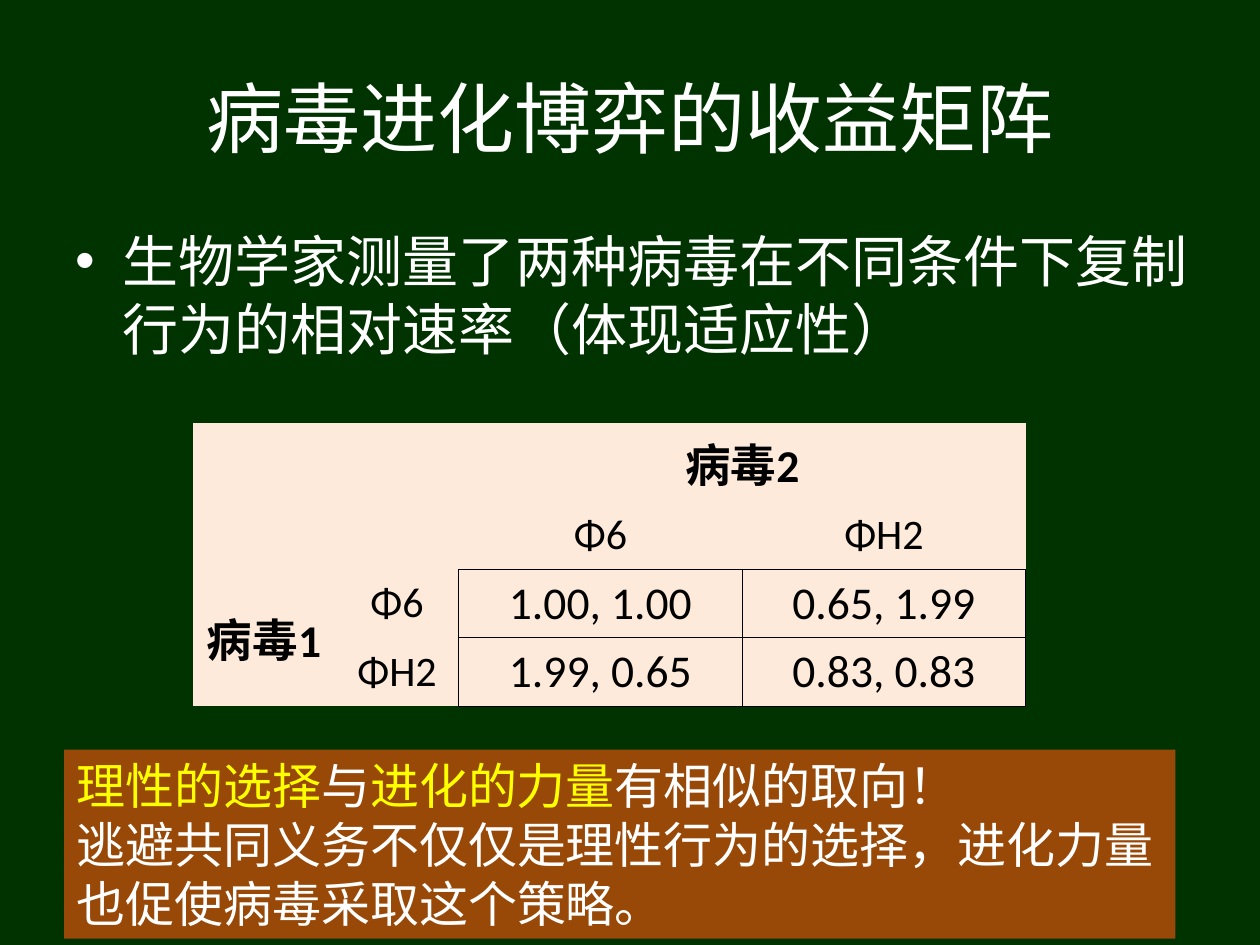
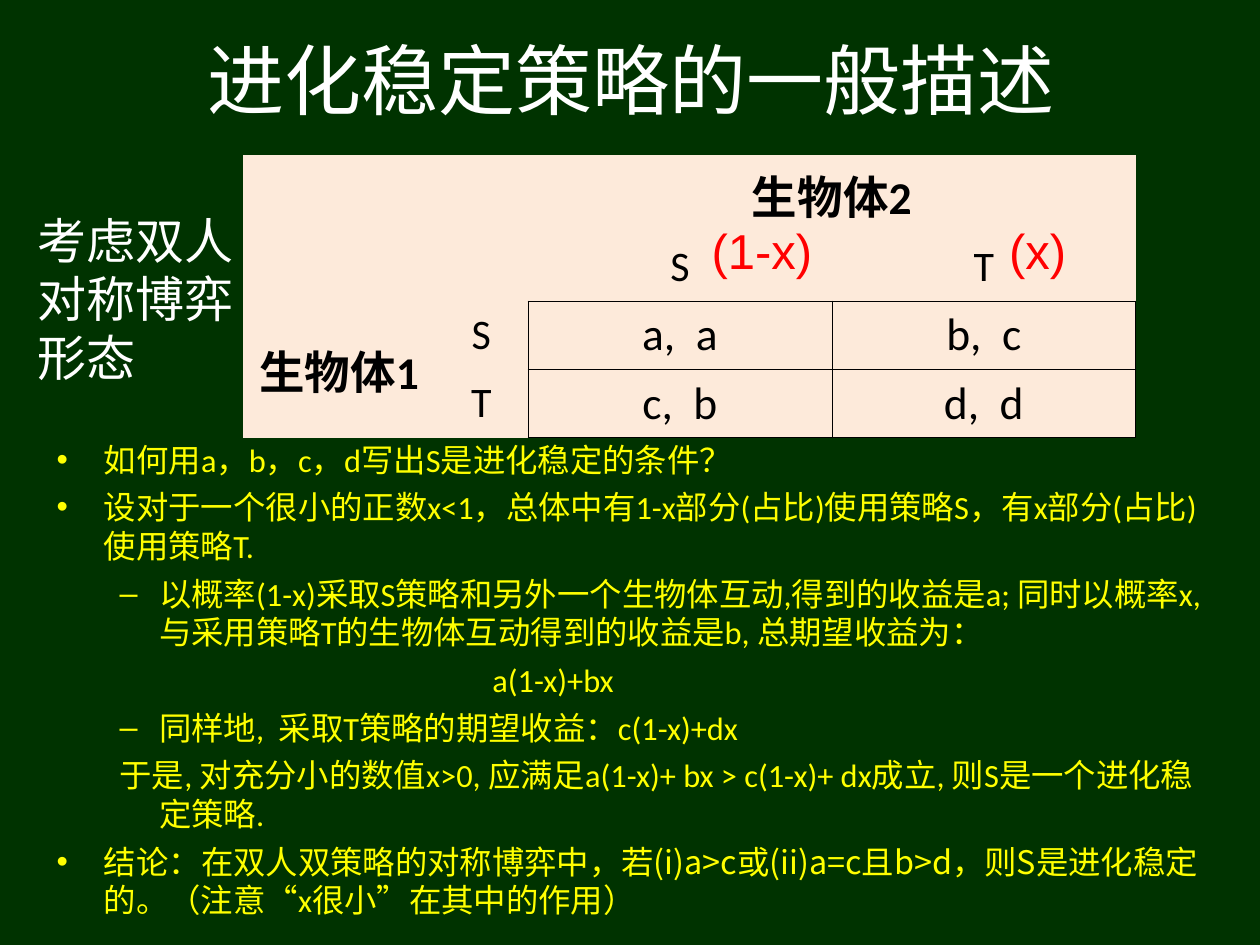
from lxml.etree import SubElement
from pptx import Presentation
from pptx.dml.color import RGBColor
from pptx.enum.shapes import MSO_SHAPE
from pptx.enum.text import MSO_ANCHOR, MSO_AUTO_SIZE, PP_ALIGN
from pptx.oxml.ns import qn
from pptx.util import Pt

GREEN, BROWN, CREAM = "003300", "984807", "FDEADA"
WHITE, BLACK, YELLOW, RED = "FFFFFF", "000000", "FFFF00", "FF0000"
HAN, LATIN = "Noto Sans CJK SC", "Calibri"
ROW_HEIGHT = 38.5
LINE_FACTOR = 1.2
NO_STYLE = "{2D5ABB26-0587-4C30-8999-92F81FD0307C}"
INDENTS = {0: (27, -27), 1: (58.5, -22.5)}


def color(value):
    return RGBColor.from_string(value)


def place(shape, left, top, width, height):
    shape.left, shape.top = Pt(left), Pt(top)
    shape.width, shape.height = Pt(width), Pt(height)


def style_run(run, size, ink, face=HAN, bold=False):
    font = run.font
    font.size, font.bold, font.name = Pt(size), bold, face
    font.color.rgb = color(ink)
    east_asian = SubElement(run._r.rPr, qn("a:ea"))
    east_asian.set("typeface", HAN)


def style_paragraph(paragraph, size, ink, face=HAN, bold=False):
    for run in paragraph.runs:
        style_run(run, size, ink, face, bold)


def add_title(slide, text, left, top):
    title = slide.shapes.title
    place(title, left, top, 648, 90)
    title.text_frame.text = text
    title.text_frame.vertical_anchor = MSO_ANCHOR.MIDDLE
    paragraph = title.text_frame.paragraphs[0]
    paragraph.alignment = PP_ALIGN.CENTER
    style_paragraph(paragraph, 44, WHITE)


def set_bullet(paragraph, mark, ink, indents):
    properties = paragraph._p.get_or_add_pPr()
    margin, hanging = indents
    properties.set("marL", str(Pt(margin)))
    properties.set("indent", str(Pt(hanging)))
    if not mark:
        SubElement(properties, qn("a:buNone"))
        return
    bullet_color = SubElement(properties, qn("a:buClr"))
    SubElement(bullet_color, qn("a:srgbClr")).set("val", ink)
    SubElement(properties, qn("a:buFont")).set("typeface", "Arial")
    SubElement(properties, qn("a:buChar")).set("char", mark)


def add_list(slide, items, box, size, ink, face, gap):
    body = slide.placeholders[1]
    place(body, *box)
    frame = body.text_frame
    frame.text = "\n".join(text for text, *_ in items)
    frame.auto_size = MSO_AUTO_SIZE.NONE
    for number, (paragraph, item) in enumerate(zip(frame.paragraphs, items)):
        _, level, mark, *own_indents = item
        set_bullet(paragraph, mark, ink, own_indents[0] if own_indents else INDENTS[level])
        paragraph.level = level
        paragraph.alignment = PP_ALIGN.LEFT
        paragraph.space_before = Pt(gap if number else 0)
        paragraph.line_spacing = Pt(round(size * LINE_FACTOR, 1))
        style_paragraph(paragraph, size, ink, face)
    return frame


def add_note(slide, text, box, ink, face=HAN):
    note = slide.shapes.add_textbox(*map(Pt, box))
    note.text_frame.word_wrap = True
    note.text_frame.text = text
    paragraph = note.text_frame.paragraphs[0]
    if face == HAN:
        paragraph.line_spacing = Pt(28 * LINE_FACTOR)
    style_paragraph(paragraph, 28, ink, face)


def add_conclusion(slide, lines, box):
    banner = slide.shapes.add_shape(MSO_SHAPE.RECTANGLE, *map(Pt, box))
    banner.shadow.inherit = False
    banner.fill.solid()
    banner.fill.fore_color.rgb = color(BROWN)
    banner.line.fill.background()
    frame = banner.text_frame
    frame.word_wrap = True
    frame.vertical_anchor = MSO_ANCHOR.TOP
    frame.text = "\n".join("" for _ in lines)
    for paragraph, pieces in zip(frame.paragraphs, lines):
        paragraph.alignment = PP_ALIGN.LEFT
        paragraph.line_spacing = Pt(28 * LINE_FACTOR)
        for text, ink in pieces:
            run = paragraph.add_run()
            run.text = text
            style_run(run, 28, ink)


def add_borders(cell, sides):
    properties = cell._tc.get_or_add_tcPr()
    for side in sides:
        edge = SubElement(properties, qn(f"a:ln{side}"))
        edge.set("w", str(Pt(0.45)))
        fill = SubElement(edge, qn("a:solidFill"))
        SubElement(fill, qn("a:srgbClr")).set("val", BLACK)


def cell_sides(row, column):
    if row >= 2 and column >= 2:
        return "LRTB"
    if row == 1 and column >= 2:
        return "B"
    if row >= 2 and column == 1:
        return "R"
    return ""


def add_payoff_matrix(slide, player, strategies, payoffs, left, top, widths):
    frame = slide.shapes.add_table(
        4, 4, Pt(left), Pt(top), Pt(sum(widths)), Pt(4 * ROW_HEIGHT))
    matrix = frame.table
    matrix.first_row = matrix.horz_banding = False
    matrix._tbl.tblPr.find(qn("a:tableStyleId")).text = NO_STYLE
    for column, width in zip(matrix.columns, widths):
        column.width = Pt(width)
    for row in matrix.rows:
        row.height = Pt(ROW_HEIGHT)
    matrix.cell(0, 2).merge(matrix.cell(0, 3))
    matrix.cell(2, 0).merge(matrix.cell(3, 0))
    first, second = strategies
    grid = [
        ["", "", f"{player}2", ""],
        ["", "", first, second],
        [f"{player}1", first, *payoffs[0]],
        ["", second, *payoffs[1]],
    ]
    for row, texts in enumerate(grid):
        for column, text in enumerate(texts):
            cell = matrix.cell(row, column)
            add_borders(cell, cell_sides(row, column))
            cell.fill.solid()
            cell.fill.fore_color.rgb = color(CREAM)
            if not text:
                continue
            cell.vertical_anchor = MSO_ANCHOR.MIDDLE
            cell.text_frame.text = text
            paragraph = cell.text_frame.paragraphs[0]
            paragraph.alignment = PP_ALIGN.CENTER
            size = 24 if text in strategies else 26
            style_paragraph(paragraph, size, BLACK, LATIN, text.startswith(player))


def build_virus_slide(slide):
    add_title(slide, "病毒进化博弈的收益矩阵", 36, 21.6)
    finding = "生物学家测量了两种病毒在不同条件下复制行为的相对速率（体现适应性）"
    add_list(slide, [(finding, 0, "•")], (36, 126, 664.5, 297.5), 32, WHITE, HAN, 8)
    add_payoff_matrix(
        slide, "病毒", ("Φ6", "ΦH2"),
        [("1.00, 1.00", "0.65, 1.99"), ("1.99, 0.65", "0.83, 0.83")],
        110.2, 241.9, (81.4, 70.6, 162, 162))
    add_conclusion(slide, [
        [("理性的选择", YELLOW), ("与", WHITE), ("进化的力量", YELLOW),
         ("有相似的取向！", WHITE)],
        [("逃避共同义务不仅仅是理性行为的选择，进化力量也促使病毒采取这个策略。", WHITE)],
    ], (36.7, 428.4, 635, 108))


def build_stable_strategy_slide(slide):
    add_title(slide, "进化稳定策略的一般描述", 36.7, 0)
    frame = add_list(slide, [
        ("如何用a，b，c，d写出S是进化稳定的条件？", 0, "•"),
        ("设对于一个很小的正数x<1，总体中有1-x部分(占比)使用策略S，有x部分(占比)使用策略T.", 0, "•"),
        ("以概率(1-x)采取S策略和另外一个生物体互动,得到的收益是a; 同时以概率x,"
         "与采用策略T的生物体互动得到的收益是b, 总期望收益为：", 1, "–"),
        ("a(1-x)+bx", 1, "", (249, 0)),
        ("同样地,  采取T策略的期望收益：c(1-x)+dx", 1, "–"),
        ("于是, 对充分小的数值x>0, 应满足a(1-x)+ bx > c(1-x)+ dx成立, 则S是一个进化稳定策略.", 1, ""),
        ("结论：", 0, "•"),
    ], (25.2, 247.7, 680.4, 292.3), 18.5, YELLOW, LATIN, 5)
    for text, face in (
        ("在双人双策略的对称博弈中，若(i)a>c或(ii)a=c且b>d，则S是进化稳定的。", HAN),
        ("（注意“x很小”在其中的作用）", LATIN),
    ):
        run = frame.paragraphs[-1].add_run()
        run.text = text
        style_run(run, 18.5, YELLOW, face)
    add_payoff_matrix(
        slide, "生物体", ("S", "T"),
        [("a,  a", "b,  c"), ("c,  b", "d,  d")],
        139, 88.6, (109.4, 53.3, 173.7, 173.7))
    for share, left in (("(x)", 569.5), ("(1-x)", 399.6)):
        add_note(slide, share, (left, 122.4, 85, 41), RED, "Arial")
    add_note(slide, "考虑双人对称博弈形态", (14.4, 116.6, 130.3, 108), WHITE)


def main():
    deck = Presentation()
    deck.slide_width, deck.slide_height = Pt(720), Pt(540)
    backdrop = deck.slide_master.background.fill
    backdrop.solid()
    backdrop.fore_color.rgb = color(GREEN)
    for build in (build_virus_slide, build_stable_strategy_slide):
        build(deck.slides.add_slide(deck.slide_layouts[1]))
    deck.save("out.pptx")


if __name__ == "__main__":
    main()
